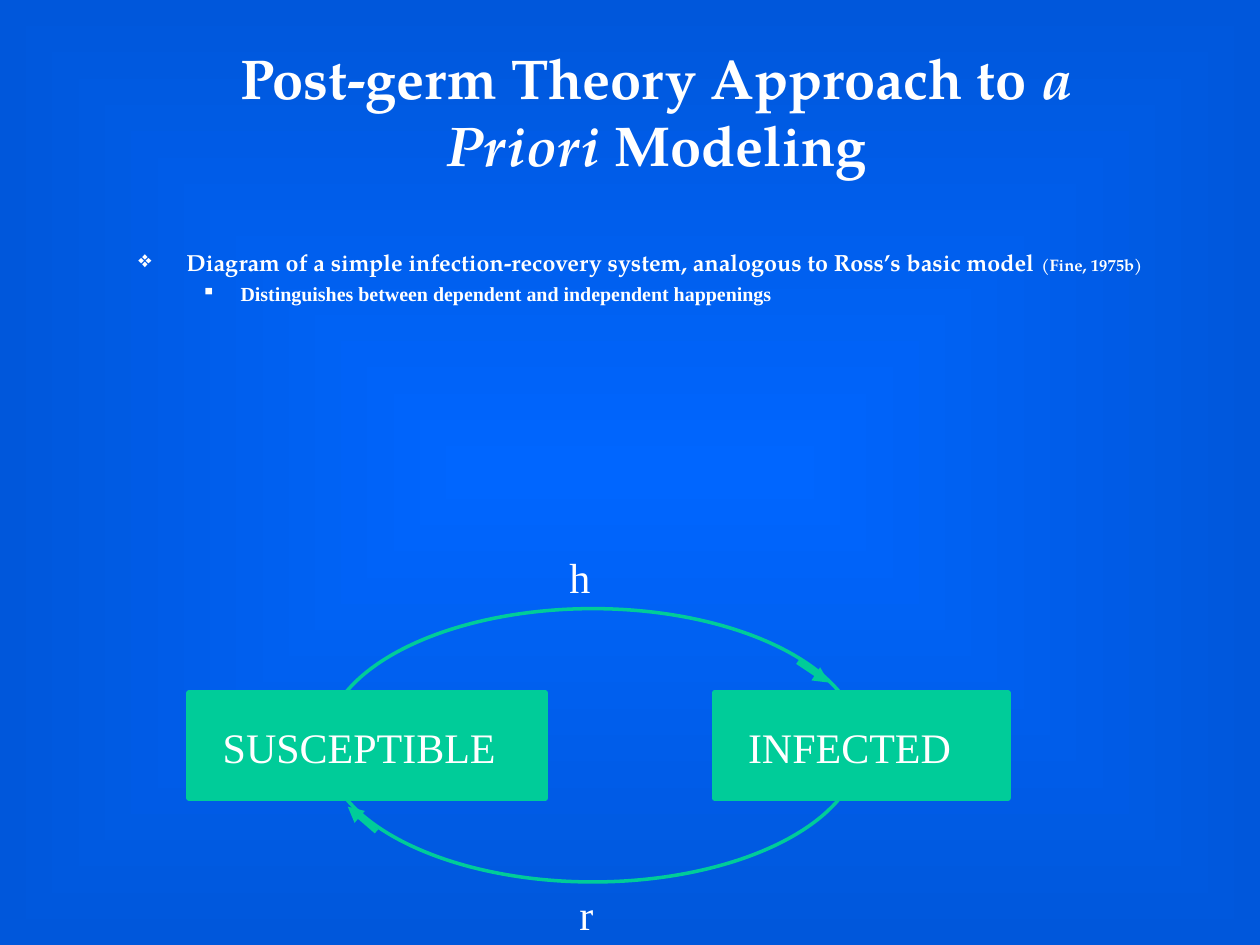
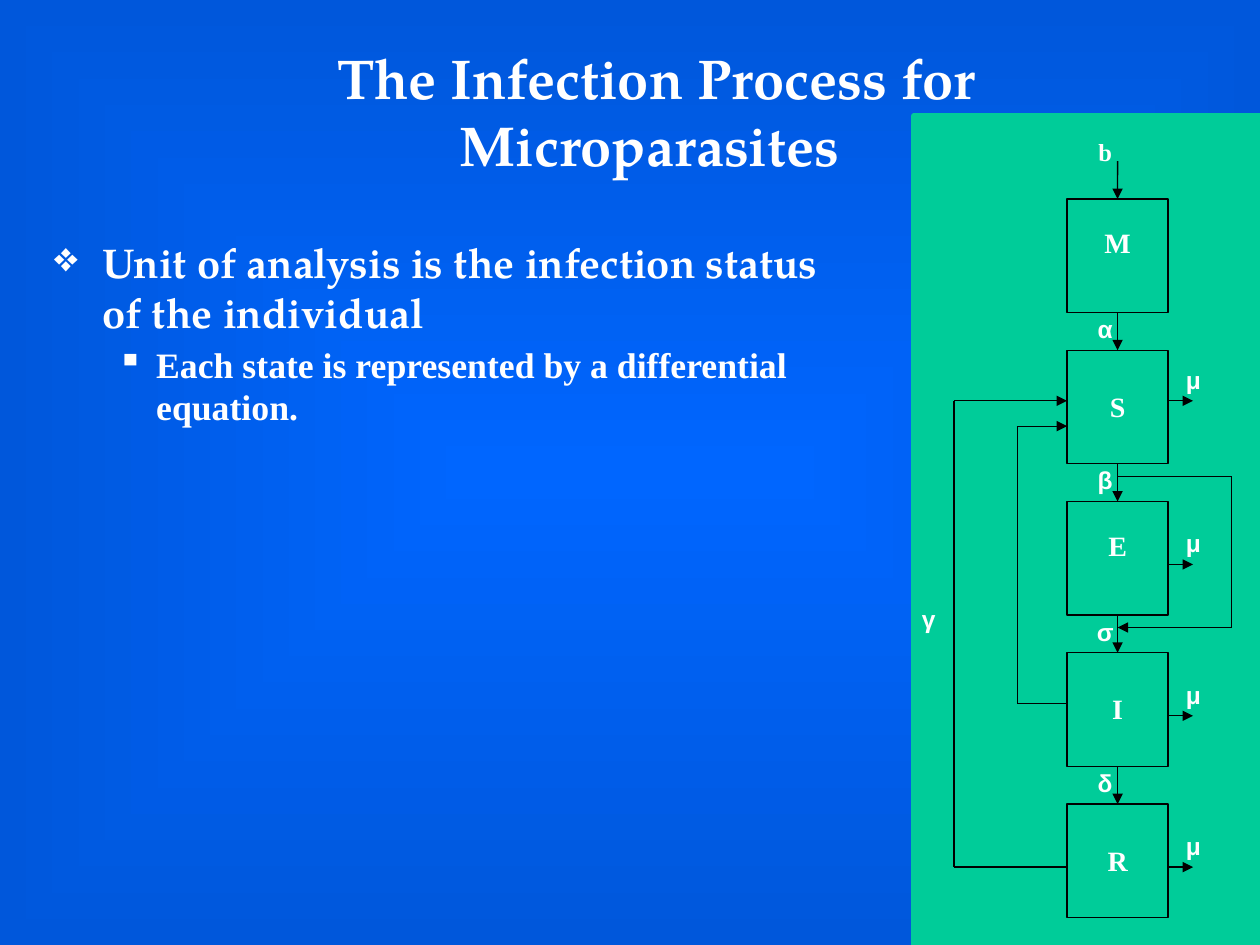
from dataclasses import dataclass
from itertools import pairwise

from lxml import etree
from pptx import Presentation, oxml
from pptx import util as u
from pptx.dml.color import RGBColor
from pptx.enum import dml, shapes, text
from pptx.oxml.ns import qn


@dataclass(frozen=True)
class Theme:
    white: str = "FFFFFF"
    black: str = "000000"
    green: str = "00CC99"
    center_blue: str = "0066FF"
    edge_blue: str = "0057DB"
    heading_font: str = "TeX Gyre Pagella"
    text_font: str = "Times New Roman"
    symbol_font: str = "Arial"
    title_size: float = 32
    diagram_size: float = 24
    state_size: float = 16
    rate_size: float = 14
    thin: float = 0.75
    hairline: float = 0.25
    thick: float = 3


THEME = Theme()
TITLE = dict(name=THEME.heading_font, size=THEME.title_size, bold=True)
DIAGRAM = dict(name=THEME.text_font, size=THEME.diagram_size)
STATE = dict(name=THEME.text_font, size=THEME.state_size, bold=True)
BIRTH = dict(STATE, size=THEME.rate_size)
RATE = dict(BIRTH, name=THEME.symbol_font)

# Bullet levels: sign, left margin and hanging indent in cm
LEVELS = [("❖", 0.97, 0.97), ("▪", 2.06, 0.79)]


def rgb(color):
    return RGBColor.from_string(color)


class Deck:
    def __init__(self, theme):
        self.theme = theme
        self.prs = Presentation()
        self.prs.slide_width, self.prs.slide_height = u.Cm(25.4), u.Cm(19.05)
        self.slide = None

    def new_slide(self, *title_runs):
        self.slide = self.prs.slides.add_slide(self.prs.slide_layouts[6])
        self.background()
        frame = self.frame(3.61, 0.64, 19.25, 3.18, anchor=text.MSO_ANCHOR.MIDDLE)
        frame.paragraphs[0].alignment = text.PP_ALIGN.CENTER
        self.runs(frame.paragraphs[0], title_runs)

    def background(self):
        """Fill the slide with a gradient that spreads from its centre."""
        fill = self.slide.background.fill
        fill.gradient()
        colors = self.theme.center_blue, self.theme.edge_blue
        for stop, color, position in zip(fill.gradient_stops, colors, (0, 1)):
            stop.color.rgb = rgb(color)
            stop.position = position
        gradient = self.slide.background._cSld.find(".//" + qn("a:gradFill"))
        gradient.replace(gradient.find(qn("a:lin")), oxml.parse_xml(
            '<a:path xmlns:a="http://schemas.openxmlformats.org/drawingml/2006/main" path="rect">'
            '<a:fillToRect l="50000" t="50000" r="50000" b="50000"/></a:path>'))

    def frame(self, left, top, width, height, inset=(0.25, 0.13), anchor=text.MSO_ANCHOR.TOP):
        box = self.slide.shapes.add_textbox(*map(u.Cm, (left, top, width, height)))
        side, end = map(u.Cm, inset)
        settings = dict(word_wrap=True, vertical_anchor=anchor, margin_left=side,
                        margin_right=side, margin_top=end, margin_bottom=end)
        for key, value in settings.items():
            setattr(box.text_frame, key, value)
        return box.text_frame

    def runs(self, paragraph, parts):
        for words, style in parts:
            run = paragraph.add_run()
            run.text = words
            run.font.color.rgb = rgb(self.theme.white)
            for key, value in style.items():
                setattr(run.font, key, u.Pt(value) if key == "size" else value)

    def label(self, words, left, top, style):
        """Short diagram text, set from the left."""
        frame = self.frame(left, top, 7.19, 1.27, anchor=text.MSO_ANCHOR.MIDDLE)
        self.runs(frame.paragraphs[0], [(words, style)])

    def symbol(self, sign, left, top, style):
        """One centred letter in a small square."""
        paragraph = self.frame(left, top, 1.02, 1.02, inset=(0.03, 0.03)).paragraphs[0]
        paragraph.alignment = text.PP_ALIGN.CENTER
        self.runs(paragraph, [(sign, style)])

    def bullets(self, left, top, width, height, *points):
        """One paragraph for each list of runs, a level deeper each time."""
        frame = self.frame(left, top, width, height)
        for level, parts in enumerate(points):
            paragraph = frame.add_paragraph() if level else frame.paragraphs[0]
            paragraph.level = level
            sign, margin, hanging = LEVELS[level]
            props = paragraph._p.get_or_add_pPr()
            props.set("marL", str(u.Cm(margin)))
            props.set("indent", str(-u.Cm(hanging)))
            color = etree.SubElement(props, qn("a:buClr"))
            etree.SubElement(color, qn("a:srgbClr"), val=self.theme.white)
            etree.SubElement(props, qn("a:buChar"), char=sign)
            if level:
                paragraph.space_before = u.Pt(3)
            self.runs(paragraph, parts)

    def shape(self, kind, left, top, width, height, line, weight, fill=None):
        shape = self.slide.shapes.add_shape(kind, *map(u.Cm, (left, top, width, height)))
        shape.shadow.inherit = False
        if fill:
            shape.fill.solid()
            shape.fill.fore_color.rgb = rgb(fill)
        else:
            shape.fill.background()
        shape.line.color.rgb = rgb(line)
        shape.line.width = u.Pt(weight)
        return shape

    def panel(self, left, top, width, height):
        green = self.theme.green
        return self.shape(shapes.MSO_SHAPE.RECTANGLE, left, top, width, height,
                          green, self.theme.thick, green)

    def line(self, start, end, color, weight, arrow=True, dotted=False):
        link = self.slide.shapes.add_connector(
            shapes.MSO_CONNECTOR.STRAIGHT, *map(u.Cm, (*start, *end)))
        link.line.color.rgb = rgb(color)
        link.line.width = u.Pt(weight)
        if dotted:
            link.line.dash_style = dml.MSO_LINE.ROUND_DOT
        if arrow:
            etree.SubElement(link.line._get_or_add_ln(), qn("a:tailEnd"), type="triangle")
        etree.SubElement(link._element.spPr, qn("a:effectLst"))
        return link

    def route(self, *corners, weight, dotted=False):
        """Straight legs through the corners, with an arrowhead on the last."""
        for start, end in pairwise(corners):
            self.line(start, end, self.theme.black, weight, end == corners[-1], dotted)


def infection_recovery(deck):
    theme = deck.theme
    deck.new_slide(("Post-germ Theory Approach to ", TITLE),
                   ("a Priori", dict(TITLE, italic=True)), (" Modeling", TITLE))
    deck.shape(shapes.MSO_SHAPE.OVAL, 6.55, 12.27, 10.8, 5.51, theme.green, 2)
    for state, left, width in (("INFECTED", 14.4, 5.92), ("SUSCEPTIBLE", 3.81, 7.19)):
        deck.panel(left, 13.97, width, 2.12)
        deck.label(state, left + 0.43, 14.42, DIAGRAM)
    point = dict(name=theme.heading_font, size=13.3, bold=True)
    deck.bullets(
        2.54, 4.88, 21.59, 2.11,
        [("Diagram of a simple infection-recovery system, analogous to Ross’s basic model ", point),
         ("(Fine, 1975b)", dict(point, size=9.5))],
        [("Distinguishes between dependent and independent happenings",
          dict(point, name=theme.text_font, size=11.4))])
    for start, end in (((16.08, 13.34), (16.71, 13.76)), ((7.59, 16.76), (7.01, 16.26))):
        deck.line(start, end, theme.green, theme.thick)
    deck.label("h", 11.23, 11, DIAGRAM)
    deck.label("r", 11.43, 17.78, DIAGRAM)


def infection_process(deck):
    theme = deck.theme
    deck.new_slide(("The Infection Process for Microparasites ", TITLE))
    panel = deck.panel(18.42, 2.34, 6.98, 16.71)
    tree = panel._element.getparent()
    tree.insert(2, panel._element)  # behind the title
    point = dict(name=theme.heading_font, size=23.8, bold=True)
    deck.bullets(
        0.84, 4.65, 15.88, 4.24,
        [("Unit of analysis is the infection status of the individual", point)],
        [("Each state is represented by a differential equation.",
          dict(point, name=theme.text_font, size=20.4))])

    left, right, middle = 21.51, 23.55, 22.53
    first_top, pitch, height, gap = 4.01, 3.05, 2.29, 0.76
    # State, rate leading into it, drop of its letter, drop of its death arrow
    states = [("M", "b", 0.51, None), ("S", "α", 0.76, 1.02), ("E", "β", 0.51, 1.27),
              ("I", "σ", 0.76, 1.27), ("R", "δ", 0.76, 1.27)]
    previous = None
    for row, (state, rate, letter_drop, death_drop) in enumerate(states):
        top = first_top + row * pitch
        box = deck.shape(shapes.MSO_SHAPE.RECTANGLE, left, top, right - left, height,
                         theme.black, theme.thin)
        deck.symbol(state, 22.02, top + letter_drop, STATE)
        inflow = deck.line((middle, top - gap), (middle, top), theme.black, theme.thin)
        inflow.end_connect(box, 0)
        if previous:
            inflow.begin_connect(previous, 2)
            deck.symbol(rate, 21.77, top - gap, RATE)
        else:
            deck.symbol(rate, 21.77, 2.74, BIRTH)
        if death_drop:
            death = top + death_drop
            deck.route((right, death), (24.05, death), weight=theme.thin)
            deck.symbol("μ", right, death - 0.76, RATE)
        previous = box

    deck.symbol("γ", 18.21, 12.14, RATE)
    deck.route((left, 17.48), (19.23, 17.48), (19.23, 8.08), (left, 8.08), weight=theme.thin)
    for start, turn, top, bottom in ((left, 20.5, 14.17, 8.59), (middle, 24.82, 9.6, 12.65)):
        deck.route((start, top), (turn, top), (turn, bottom), (start, bottom),
                   weight=theme.hairline, dotted=True)


def main():
    deck = Deck(THEME)
    infection_recovery(deck)
    infection_process(deck)
    deck.prs.save("out.pptx")


if __name__ == "__main__":
    main()
